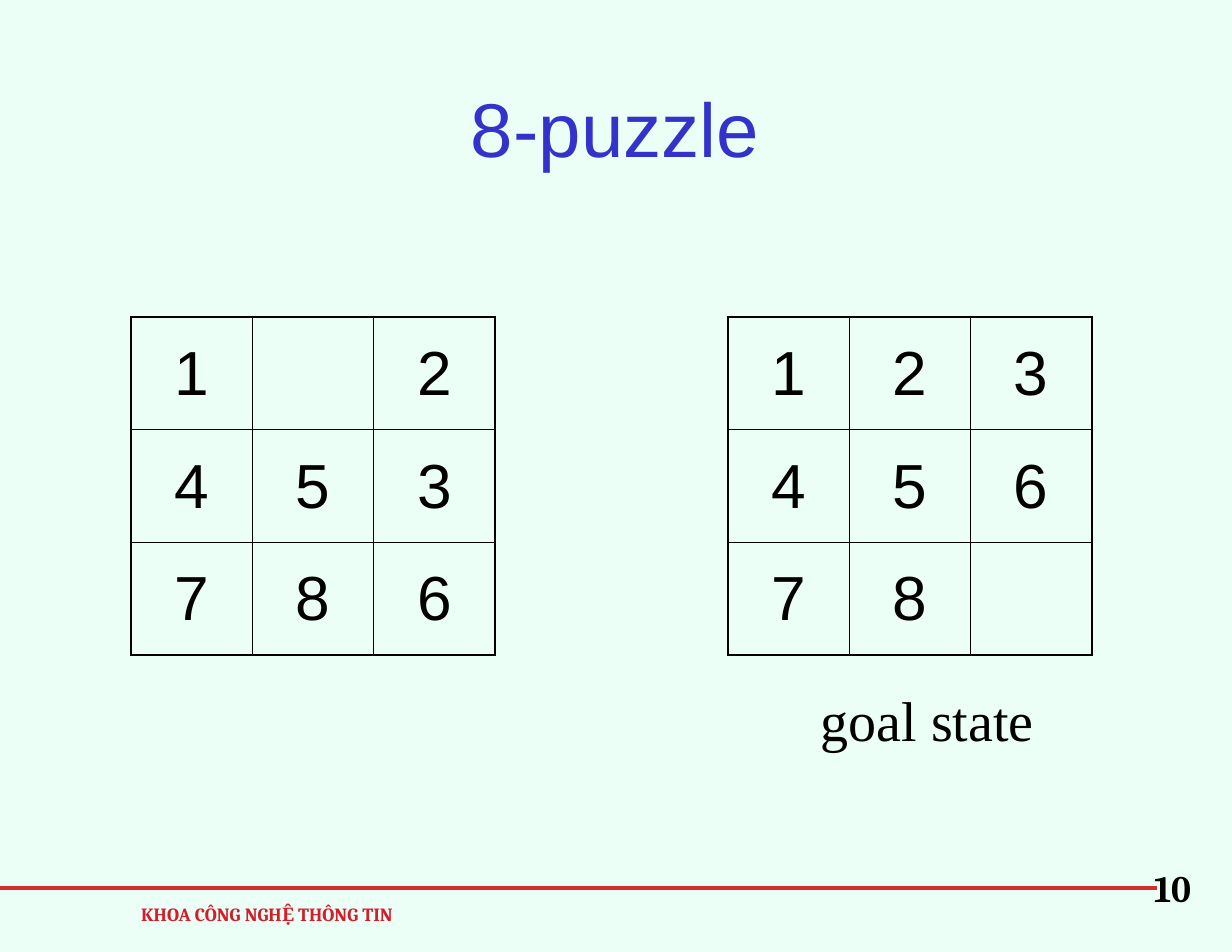
import lxml.etree
import pptx
import pptx.dml.color
import pptx.enum.text
import pptx.oxml.ns
import pptx.util

Inches = pptx.util.Inches
Pt = pptx.util.Pt

BLACK = "000000"
OUTER, INNER = 1.08, 0.45
START = [["1", "", "2"], ["4", "5", "3"], ["7", "8", "6"]]
GOAL = [["1", "2", "3"], ["4", "5", "6"], ["7", "8", ""]]


def colour(value):
    return pptx.dml.color.RGBColor.from_string(value)


def write(frame, text, size, font, value, spacing, bold=False):
    """Put one centred, formatted paragraph into a text frame."""
    para = frame.paragraphs[0]
    para.alignment = pptx.enum.text.PP_ALIGN.CENTER
    para.line_spacing = spacing
    span = para.add_run()
    span.text = text
    formats = {"size": Pt(size), "name": font, "bold": bold}
    for name, setting in formats.items():
        setattr(span.font, name, setting)
    span.font.color.rgb = colour(value)


def add_title(page, left, top, width, height):
    title = page.shapes.title
    place = {"left": left, "top": top, "width": width, "height": height}
    for name, length in place.items():
        setattr(title, name, Inches(length))
    frame = title.text_frame
    margins = {"margin_left": 0.11, "margin_right": 0.11,
               "margin_top": 0.06, "margin_bottom": 0.06}
    for name, length in margins.items():
        setattr(frame, name, Inches(length))
    frame.vertical_anchor = pptx.enum.text.MSO_ANCHOR.MIDDLE
    write(frame, "8-puzzle", 49, "Arial", "3333CC", 1.24)


def add_label(page, left, top, width, height, text, size, font, value,
              bold=False, wrap=True):
    box = page.shapes.add_textbox(
        Inches(left), Inches(top), Inches(width), Inches(height))
    box.text_frame.word_wrap = wrap
    box.text_frame.auto_size = pptx.enum.text.MSO_AUTO_SIZE.SHAPE_TO_FIT_TEXT
    write(box.text_frame, text, size, font, value, 1.18, bold)


def set_borders(cell, widths):
    """Draw black cell borders; widths go left, right, top, bottom."""
    qn = pptx.oxml.ns.qn
    properties = cell._tc.get_or_add_tcPr()
    for index, (side, width) in enumerate(zip("LRTB", widths)):
        line = lxml.etree.Element(qn(f"a:ln{side}"), w=str(Pt(width)))
        fill = lxml.etree.SubElement(line, qn("a:solidFill"))
        lxml.etree.SubElement(fill, qn("a:srgbClr"), val=BLACK)
        properties.insert(index, line)


def add_board(page, left, top, width, height, tiles):
    count = len(tiles)
    last = count - 1
    table = page.shapes.add_table(
        count, count, Inches(left), Inches(top),
        Inches(width), Inches(height)).table
    table.first_row = False
    table.horz_banding = False
    for row, numbers in enumerate(tiles):
        for column, number in enumerate(numbers):
            cell = table.cell(row, column)
            cell.fill.background()
            edges = (column == 0, column == last, row == 0, row == last)
            set_borders(cell, [OUTER if edge else INNER for edge in edges])
            if number:
                write(cell.text_frame, number, 40, "Arial", BLACK, 1.24)


def add_footer(page, left, top, width):
    """Draw the rule, with the department below it and the page number at its end."""
    rule = page.shapes.add_connector(
        pptx.enum.shapes.MSO_CONNECTOR.STRAIGHT,
        Inches(left), Inches(top), Inches(left + width), Inches(top))
    rule.line.color.rgb = colour("D32F2F")
    rule.line.width = Pt(2.25)
    lxml.etree.SubElement(
        rule._element.spPr, pptx.oxml.ns.qn("a:effectLst"))
    add_label(page, left + 1.12, top + 0.05, 2.53, 0.34,
              "KHOA CÔNG NGHỆ THÔNG TIN", 12, "Cambria", "D51C29", bold=True)
    add_label(page, left + width - 0.25, top - 0.33, 0.78, 0.57,
              "10", 24, "Cambria", BLACK, bold=True)


def main():
    deck = pptx.Presentation()
    deck.slide_width = Inches(11)
    deck.slide_height = Inches(8.5)
    page = deck.slides.add_slide(deck.slide_layouts[5])
    page.background.fill.solid()
    page.background.fill.fore_color.rgb = colour("EBFFF7")

    add_footer(page, 0, 7.93, 10.33)
    add_title(page, 0.55, 0.34, 9.88, 1.4)
    for left, tiles in ((6.5, GOAL), (1.17, START)):
        add_board(page, left, 2.83, 3.25, 3.02, tiles)
    add_label(page, 7.23, 5.96, 2.1, 0.81, "goal state", 36,
              "Times New Roman", BLACK, wrap=False)
    deck.save("out.pptx")


if __name__ == "__main__":
    main()
